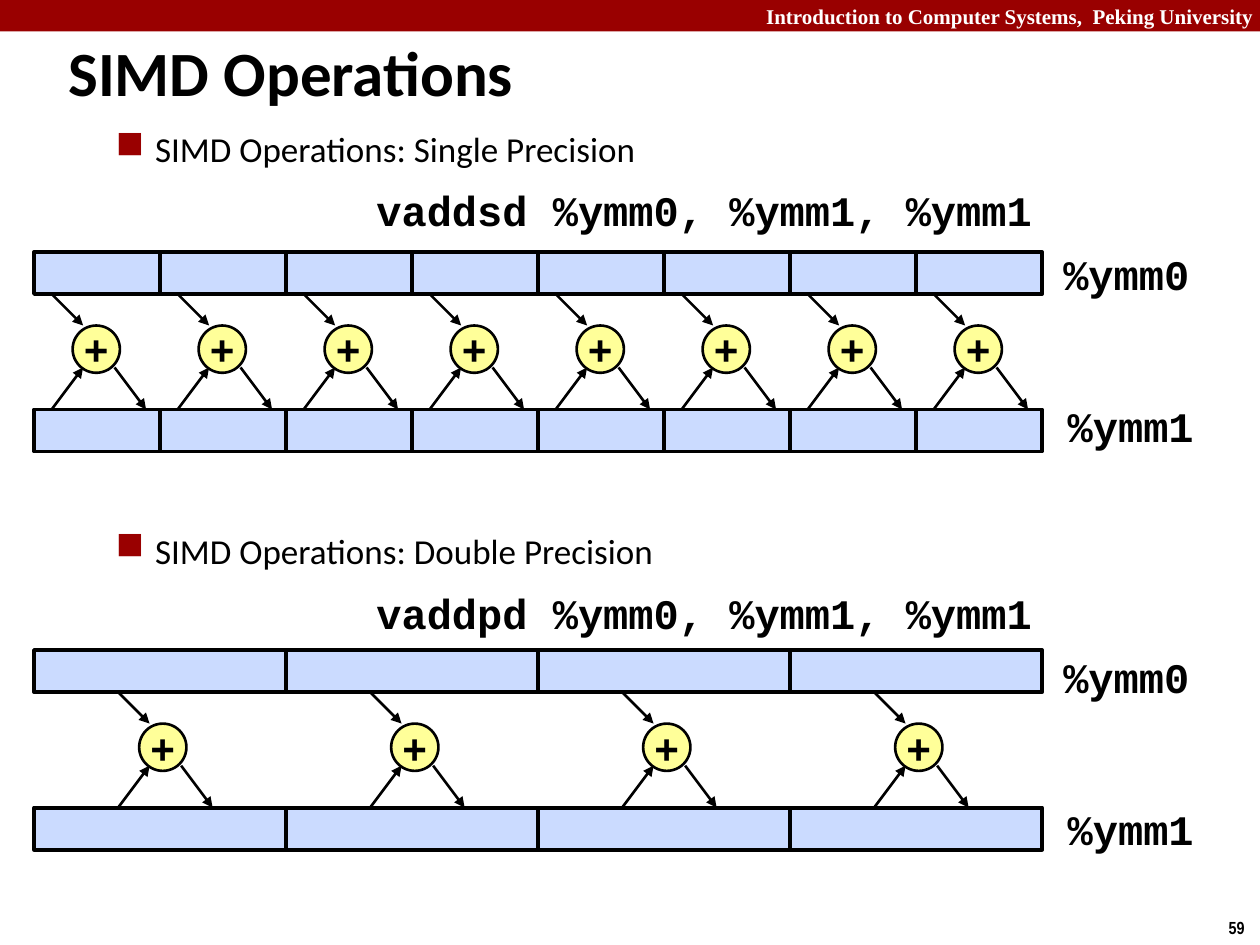
from dataclasses import dataclass

from lxml import etree
from pptx import Presentation
from pptx import util as u
from pptx.dml.color import RGBColor
from pptx.enum import shapes, text
from pptx.oxml import ns

Pt = u.Pt


@dataclass(frozen=True)
class Theme:
    # Colours
    red: str = "990000"
    white: str = "FFFFFF"
    black: str = "000000"
    lane: str = "CBDBFF"
    adder: str = "FFFF99"
    # Fonts
    body_font: str = "Calibri"
    code_font: str = "Courier New"
    header_font: str = "Times New Roman"
    number_font: str = "Arial Narrow"
    # Type sizes
    title_size: int = 36
    body_size: int = 20
    code_size: int = 24
    header_size: int = 12
    number_size: int = 10


THEME = Theme()

# Register geometry, measured from the left and top of the upper register
REGISTER_LEFT, REGISTER_WIDTH = 19.5, 576
LANE_HEIGHT, REGISTER_STEP = 24, 90
ADDER_SIZE, ADDER_TOP = 27, 42
ARROW_REACH, ADDER_BASE = 18, 66
INSET = 3.6


def style_font(paragraph, name, size, bold=True, color=THEME.black):
    font = paragraph.font
    font.name, font.size, font.bold = name, Pt(size), bold
    font.color.rgb = RGBColor.from_string(color)


def set_insets(frame):
    frame.margin_left = frame.margin_right = Pt(INSET)
    frame.margin_top = frame.margin_bottom = Pt(INSET)


def add_text(parent, words, left, top, width, height, font, size,
             color=THEME.black, wrap=False, align=text.PP_ALIGN.LEFT,
             anchor=text.MSO_ANCHOR.TOP):
    box = parent.add_textbox(Pt(left), Pt(top), Pt(width), Pt(height))
    frame = box.text_frame
    frame.word_wrap, frame.vertical_anchor = wrap, anchor
    set_insets(frame)
    paragraph = frame.paragraphs[0]
    paragraph.text, paragraph.alignment = words, align
    style_font(paragraph, font, size, color=color)


def add_block(parent, kind, left, top, width, height, fill, line_width=0):
    block = parent.add_shape(kind, Pt(left), Pt(top), Pt(width), Pt(height))
    block.shadow.inherit = False
    block.fill.solid()
    block.fill.fore_color.rgb = RGBColor.from_string(fill)
    if line_width:
        block.line.color.rgb = RGBColor.from_string(THEME.black)
        block.line.width = Pt(line_width)
    else:
        block.line.fill.background()
    return block


def add_arrow(parent, x1, y1, x2, y2):
    arrow = parent.add_connector(shapes.MSO_CONNECTOR.STRAIGHT,
                                 Pt(x1), Pt(y1), Pt(x2), Pt(y2))
    arrow.line.color.rgb = RGBColor.from_string(THEME.black)
    arrow.line.width = Pt(1.5)
    line = arrow.line._get_or_add_ln()
    etree.SubElement(line, ns.qn("a:tailEnd"), type="triangle")
    etree.SubElement(arrow._element.spPr, ns.qn("a:effectLst"))


def add_bullet(paragraph):
    props = paragraph._p.get_or_add_pPr()
    props.set("marL", str(Pt(58.5)))
    props.set("indent", str(Pt(-22.5)))
    color = etree.SubElement(props, ns.qn("a:buClr"))
    etree.SubElement(color, ns.qn("a:srgbClr"), val=THEME.red)
    etree.SubElement(props, ns.qn("a:buSzPct"), val="110000")
    etree.SubElement(props, ns.qn("a:buChar"), char="■")


def add_topics(parent, topics, gap):
    box = parent.add_textbox(Pt(26.5), Pt(69.5), Pt(650), Pt(423))
    frame = box.text_frame
    frame.word_wrap = True
    set_insets(frame)
    for index, topic in enumerate(topics):
        paragraph = frame.add_paragraph() if index else frame.paragraphs[0]
        paragraph.text = topic
        add_bullet(paragraph)
        if index:
            paragraph.space_before = Pt(gap)
        style_font(paragraph, THEME.body_font, THEME.body_size, bold=False)


def add_register(parent, top, lanes):
    width = REGISTER_WIDTH / lanes
    for lane in range(lanes):
        add_block(parent, shapes.MSO_SHAPE.RECTANGLE,
                  REGISTER_LEFT + lane * width, top, width, LANE_HEIGHT,
                  THEME.lane, 2.25)


def add_adder(parent, left, top):
    """Draw one lane's sum; left is where its operands leave the registers."""
    adder = add_block(parent, shapes.MSO_SHAPE.OVAL, left + 12,
                      top + ADDER_TOP, ADDER_SIZE, ADDER_SIZE,
                      THEME.adder, 1.5)
    frame = adder.text_frame
    frame.word_wrap, frame.vertical_anchor = False, text.MSO_ANCHOR.MIDDLE
    set_insets(frame)
    plus = frame.paragraphs[0]
    plus.text, plus.alignment = "+", text.PP_ALIGN.CENTER
    style_font(plus, THEME.code_font, THEME.code_size)

    inner, base = left + ARROW_REACH, top + ADDER_BASE
    result, lower = left + 2 * ARROW_REACH, top + REGISTER_STEP
    add_arrow(parent, left, top + LANE_HEIGHT, inner, top + ADDER_TOP)
    add_arrow(parent, left, lower, inner, base)
    add_arrow(parent, result, base, result + ARROW_REACH, lower)


def add_operation(slide, instruction, lanes, top, label_top, operand_offset):
    diagram = slide.shapes.add_group_shape().shapes
    # Registers
    for register_top in (top, top + REGISTER_STEP):
        add_register(diagram, register_top, lanes)
    # One addition per lane
    for lane in range(lanes):
        left = REGISTER_LEFT + lane * REGISTER_WIDTH / lanes + operand_offset
        add_adder(diagram, left, top)
    # Instruction and register names
    for label, left, drop, width in ((instruction, 211.5, 0, 385),
                                     ("%ymm0", 604, 36.5, 80),
                                     ("%ymm1", 606.5, 123.5, 80)):
        add_text(diagram, label, left, label_top + drop, width, 36,
                 THEME.code_font, THEME.code_size)


def main():
    deck = Presentation()
    deck.slide_width, deck.slide_height = Pt(720), Pt(540)
    slide = deck.slides.add_slide(deck.slide_layouts[6])
    page = slide.shapes

    # Header band and page number
    add_block(page, shapes.MSO_SHAPE.RECTANGLE, 0, 0, 720, 18, THEME.red)
    add_text(page, "Introduction to Computer Systems,  Peking University",
             432, 0, 288, 18, THEME.header_font, THEME.header_size,
             color=THEME.white, align=text.PP_ALIGN.RIGHT,
             anchor=text.MSO_ANCHOR.MIDDLE)
    add_text(page, "59", 698.5, 520.5, 20, 19,
             THEME.number_font, THEME.number_size)

    # Title and topics
    add_text(page, "SIMD Operations", 35.5, 10, 680, 61,
             THEME.body_font, THEME.title_size, wrap=True,
             anchor=text.MSO_ANCHOR.MIDDLE)
    add_topics(page, ("SIMD Operations: Single Precision",
                      "SIMD Operations: Double Precision"), gap=205.3)

    # Lane-by-lane additions
    add_operation(slide, "vaddsd %ymm0, %ymm1, %ymm1", lanes=8,
                  top=144, label_top=102, operand_offset=10)
    add_operation(slide, "vaddpd %ymm0, %ymm1, %ymm1", lanes=4,
                  top=371.5, label_top=332, operand_offset=48)

    deck.save("out.pptx")


if __name__ == "__main__":
    main()
